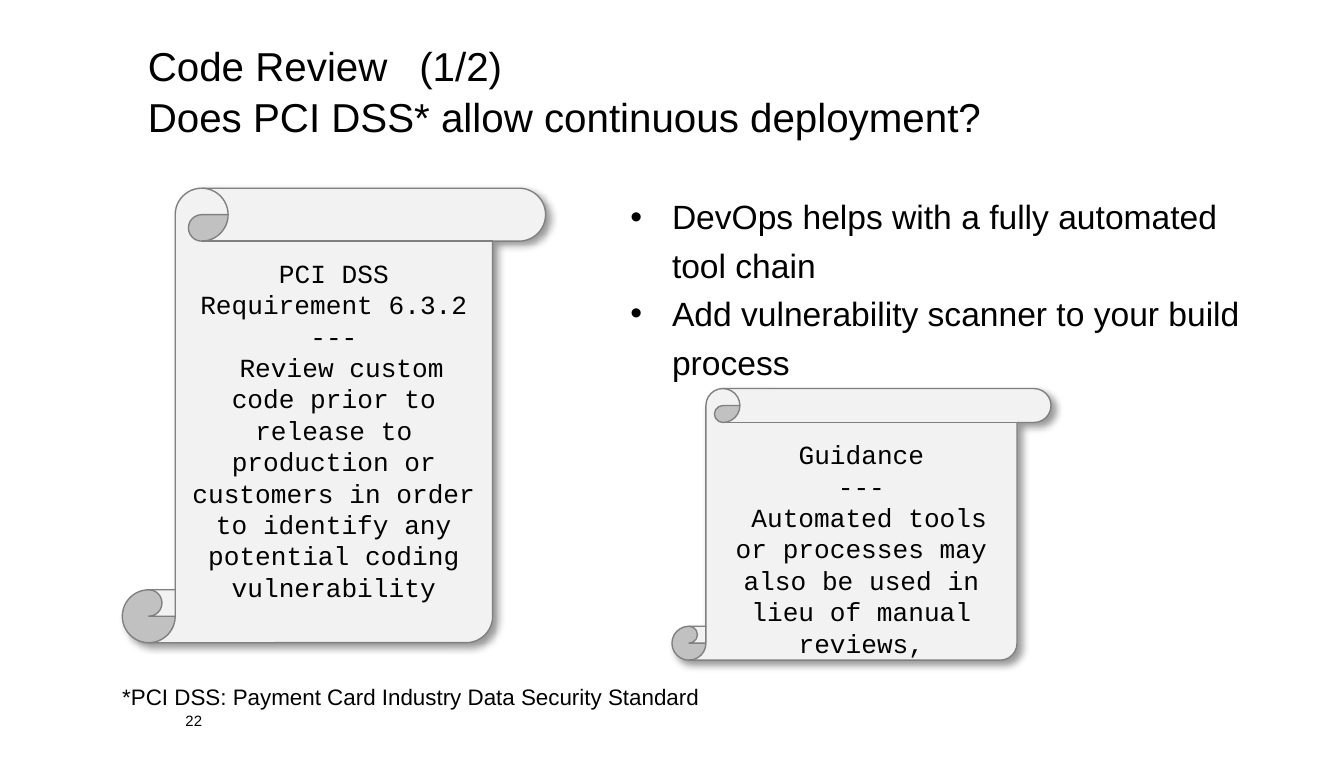
from dataclasses import dataclass

import lxml.etree
import pptx
import pptx.dml.color
import pptx.enum.shapes
import pptx.enum.text
import pptx.oxml.ns
import pptx.util

COLORS = {"text": "000000", "paper": "F2F2F2", "edge": "808080", "shadow": "000000"}
SLIDE_WIDTH = pptx.util.Inches(10)
SLIDE_HEIGHT = pptx.util.Inches(5.63)
ALIGN = pptx.enum.text.PP_ALIGN
ANCHOR = pptx.enum.text.MSO_ANCHOR
AUTO_SIZE = pptx.enum.text.MSO_AUTO_SIZE


@dataclass(frozen=True)
class Area:
    """Percent of the slide's width and height."""
    left: float
    top: float
    width: float
    height: float

    def box(self) -> tuple[int, int, int, int]:
        return (
            round(SLIDE_WIDTH * self.left / 100),
            round(SLIDE_HEIGHT * self.top / 100),
            round(SLIDE_WIDTH * self.width / 100),
            round(SLIDE_HEIGHT * self.height / 100),
        )


@dataclass(frozen=True)
class Scroll:
    area: Area
    lines: tuple[str, ...]


@dataclass(frozen=True)
class Note:
    area: Area
    text: str
    size: float
    spacing: float
    anchor: ANCHOR
    wrap: bool
    fit: AUTO_SIZE


TITLE_AREA = Area(11, 5.15, 83.3, 12.43)
TITLE_LINES = ("Code Review\t(1/2)", "Does PCI DSS* allow continuous deployment?")
POINTS_AREA = Area(46.9, 24.87, 47.6, 61.81)
POINTS = (
    "DevOps helps with a fully automated tool chain",
    "Add vulnerability scanner to your build process",
)
SCROLLS = (
    Scroll(Area(9.1, 24.87, 31.5, 60.04), (
        "PCI DSS",
        "Requirement 6.3.2",
        "---",
        " Review custom code prior to release to production or customers "
        "in order to identify any potential coding vulnerability",
    )),
    Scroll(Area(50, 51.33, 28.2, 35.88), (
        "Guidance",
        "---",
        " Automated tools or processes may also be used in lieu of manual reviews,",
    )),
)
NOTES = (
    Note(Area(13.8, 93.78, 5.1, 2.84), "22", 8, 1, ANCHOR.MIDDLE, True, AUTO_SIZE.NONE),
    Note(Area(9.1, 89.52, 43.3, 4.26),
         "*PCI DSS: Payment Card Industry Data Security Standard",
         12, 1.2, ANCHOR.TOP, False, AUTO_SIZE.SHAPE_TO_FIT_TEXT),
)


def rgb(name: str) -> pptx.dml.color.RGBColor:
    return pptx.dml.color.RGBColor.from_string(COLORS[name])


def add_xml(parent, tag: str, **attributes: str):
    return lxml.etree.SubElement(parent, pptx.oxml.ns.qn(tag), attributes)


def place(shape, area: Area) -> None:
    shape.left, shape.top, shape.width, shape.height = area.box()


def set_frame(frame, anchor=ANCHOR.TOP, wrap=True, fit=AUTO_SIZE.NONE,
              side: float = 0, top: float = 0) -> None:
    frame.margin_left = frame.margin_right = pptx.util.Inches(side)
    frame.margin_top, frame.margin_bottom = pptx.util.Inches(top), 0
    frame.vertical_anchor = anchor
    frame.word_wrap = wrap
    frame.auto_size = fit


def style(paragraph, size: float, font="Arial", align=ALIGN.LEFT, spacing: float = 1) -> None:
    paragraph.alignment = align
    paragraph.line_spacing = spacing
    paragraph.space_before = paragraph.space_after = pptx.util.Pt(0)
    paragraph.font.size = pptx.util.Pt(size)
    paragraph.font.name = font
    paragraph.font.color.rgb = rgb("text")


def fill_title(title) -> None:
    place(title, TITLE_AREA)
    set_frame(title.text_frame)
    heading = title.text_frame.paragraphs[0]
    topic, question = TITLE_LINES
    heading.add_run().text = topic
    heading.add_line_break()
    heading.add_run().text = question
    tabs = add_xml(heading._p.get_or_add_pPr(), "a:tabLst")
    add_xml(tabs, "a:tab", pos=str(pptx.util.Inches(2.02)), algn="l")
    style(heading, 21.6, spacing=1.05)


def fill_points(body) -> None:
    place(body, POINTS_AREA)
    set_frame(body.text_frame)
    body.text_frame.text = "\n".join(POINTS)
    indent = pptx.util.Inches(0.31)
    for point in body.text_frame.paragraphs:
        properties = point._p.get_or_add_pPr()
        properties.set("marL", str(indent))
        properties.set("indent", str(-indent))
        add_xml(properties, "a:buChar", char="•")
        style(point, 18, spacing=1.2)


def add_shadow(shape) -> None:
    shape.shadow.inherit = False
    effects = shape._element.spPr.find(pptx.oxml.ns.qn("a:effectLst"))
    shadow = add_xml(effects, "a:outerShdw", blurRad=str(pptx.util.Pt(4)),
                     dist=str(pptx.util.Pt(3)), dir=str(45 * 60000),
                     algn="tl", rotWithShape="0")
    color = add_xml(shadow, "a:srgbClr", val=COLORS["shadow"])
    add_xml(color, "a:alpha", val="40000")


def draw_scroll(slide, scroll: Scroll) -> None:
    parchment = slide.shapes.add_shape(
        pptx.enum.shapes.MSO_SHAPE.VERTICAL_SCROLL, *scroll.area.box())
    parchment.fill.solid()
    parchment.fill.fore_color.rgb = rgb("paper")
    parchment.line.color.rgb = rgb("edge")
    parchment.line.width = pptx.util.Pt(0.75)
    add_shadow(parchment)
    set_frame(parchment.text_frame, side=0.1, top=0.12)
    parchment.text_frame.text = "\n".join(scroll.lines)
    for line in parchment.text_frame.paragraphs:
        style(line, 14, "Courier New", ALIGN.CENTER)


def draw_note(slide, note: Note) -> None:
    frame = slide.shapes.add_textbox(*note.area.box()).text_frame
    set_frame(frame, note.anchor, note.wrap, note.fit)
    frame.text = note.text
    style(frame.paragraphs[0], note.size, spacing=note.spacing)


def main() -> None:
    deck = pptx.Presentation()
    deck.slide_width, deck.slide_height = SLIDE_WIDTH, SLIDE_HEIGHT
    slide = deck.slides.add_slide(deck.slide_layouts[1])
    fill_title(slide.shapes.title)
    fill_points(slide.placeholders[1])
    for scroll in SCROLLS:
        draw_scroll(slide, scroll)
    for note in NOTES:
        draw_note(slide, note)
    deck.save("out.pptx")


if __name__ == "__main__":
    main()
